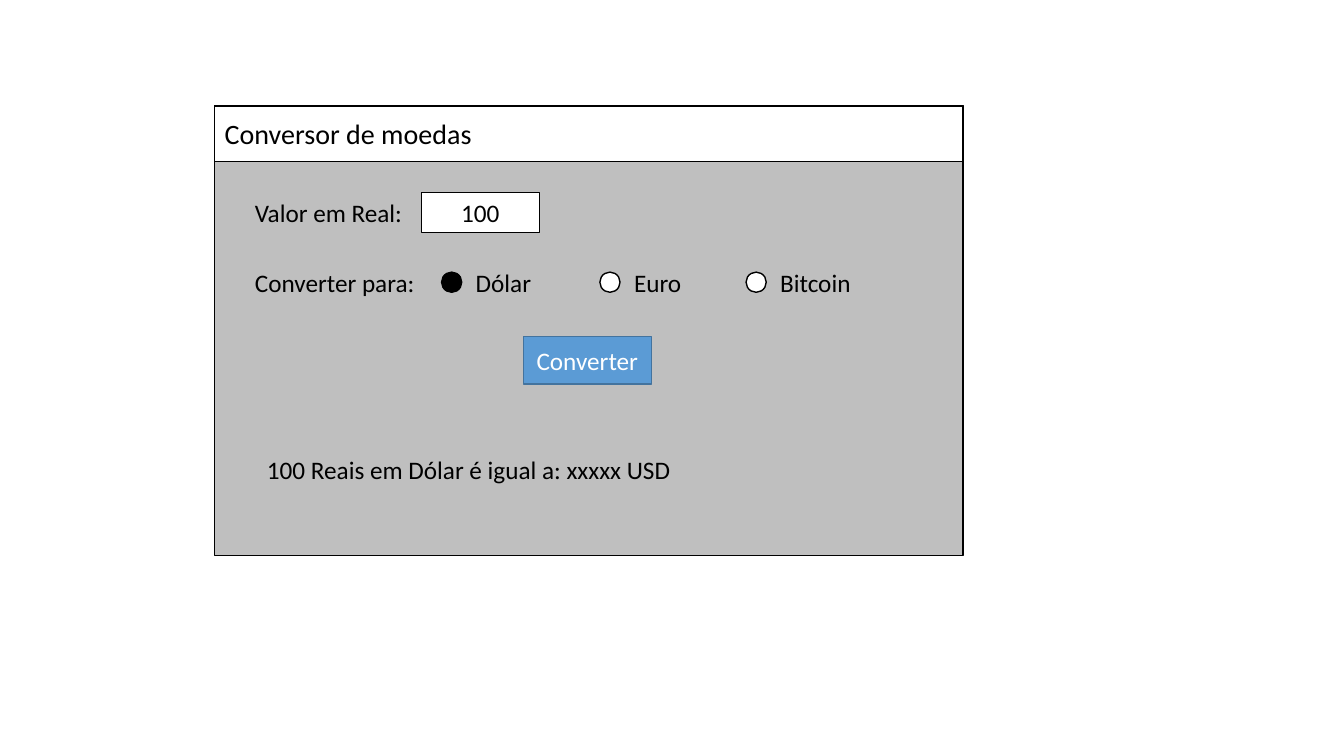
from dataclasses import dataclass

from pptx import Presentation
from pptx import util as u
from pptx.dml.color import RGBColor
from pptx.enum import shapes, text

PX = 9144  # EMU per px, 100 px to the inch


@dataclass(frozen=True)
class Theme:
    font: str = "Calibri"
    title_size: int = 20
    body_size: int = 18
    line_width: int = 1
    black: str = "000000"
    white: str = "FFFFFF"
    panel: str = "BFBFBF"
    button: str = "5B9BD5"
    button_edge: str = "43739E"


THEME = Theme()
RECTANGLE = shapes.MSO_SHAPE.RECTANGLE
OVAL = shapes.MSO_SHAPE.OVAL
CENTER = text.PP_ALIGN.CENTER


def px(*lengths):
    return [u.Emu(length * PX) for length in lengths]


def write(box, words, *, size=THEME.body_size, color=THEME.black,
          align=text.PP_ALIGN.LEFT, anchor=text.MSO_ANCHOR.MIDDLE):
    frame = box.text_frame
    frame.word_wrap = True
    frame.vertical_anchor = anchor
    para = frame.paragraphs[0]
    para.alignment = align
    span = para.add_run()
    span.text = words
    span.font.name = THEME.font
    span.font.size = u.Pt(size)
    span.font.color.rgb = RGBColor.from_string(color)


def add_block(page, left, top, width, height, fill, *,
              edge=THEME.black, kind=RECTANGLE):
    block = page.shapes.add_shape(kind, *px(left, top, width, height))
    block.shadow.inherit = False
    block.fill.solid()
    block.fill.fore_color.rgb = RGBColor.from_string(fill)
    block.line.color.rgb = RGBColor.from_string(edge)
    block.line.width = u.Pt(THEME.line_width)
    return block


def add_label(page, left, top, words, width=326):
    label = page.shapes.add_textbox(*px(left, top, width, 40))
    write(label, words, anchor=text.MSO_ANCHOR.TOP)
    label.text_frame.auto_size = text.MSO_AUTO_SIZE.SHAPE_TO_FIT_TEXT


def add_radio(page, left, top, words, chosen=False):
    fill = THEME.black if chosen else THEME.white
    add_block(page, left, top + 10, 20, 20, fill, kind=OVAL)
    add_label(page, left + 24, top, words)


def main():
    deck = Presentation()
    deck.slide_width, deck.slide_height = px(1333, 750)
    page = deck.slides.add_slide(deck.slide_layouts[6])

    # Window and title bar
    add_block(page, 213, 105, 742, 446, THEME.panel)
    title_bar = add_block(page, 213, 105, 742, 55, THEME.white)
    write(title_bar, "Conversor de moedas", size=THEME.title_size)

    # Amount
    add_label(page, 243, 191, "Valor em Real:")
    amount = add_block(page, 418, 191, 117, 40, THEME.white)
    write(amount, "100", align=CENTER)

    # Currency choice
    currency_top = 260
    add_label(page, 243, currency_top, "Converter para:")
    for left, currency in ((438, "Dólar"), (595, "Euro"), (740, "Bitcoin")):
        add_radio(page, left, currency_top, currency, currency == "Dólar")

    # Button and result
    button = add_block(page, 519, 334, 127, 47, THEME.button,
                       edge=THEME.button_edge)
    write(button, "Converter", color=THEME.white, align=CENTER)
    add_label(page, 255, 446, "100 Reais em Dólar é igual a: xxxxx USD", 430)

    deck.save("out.pptx")


if __name__ == "__main__":
    main()
